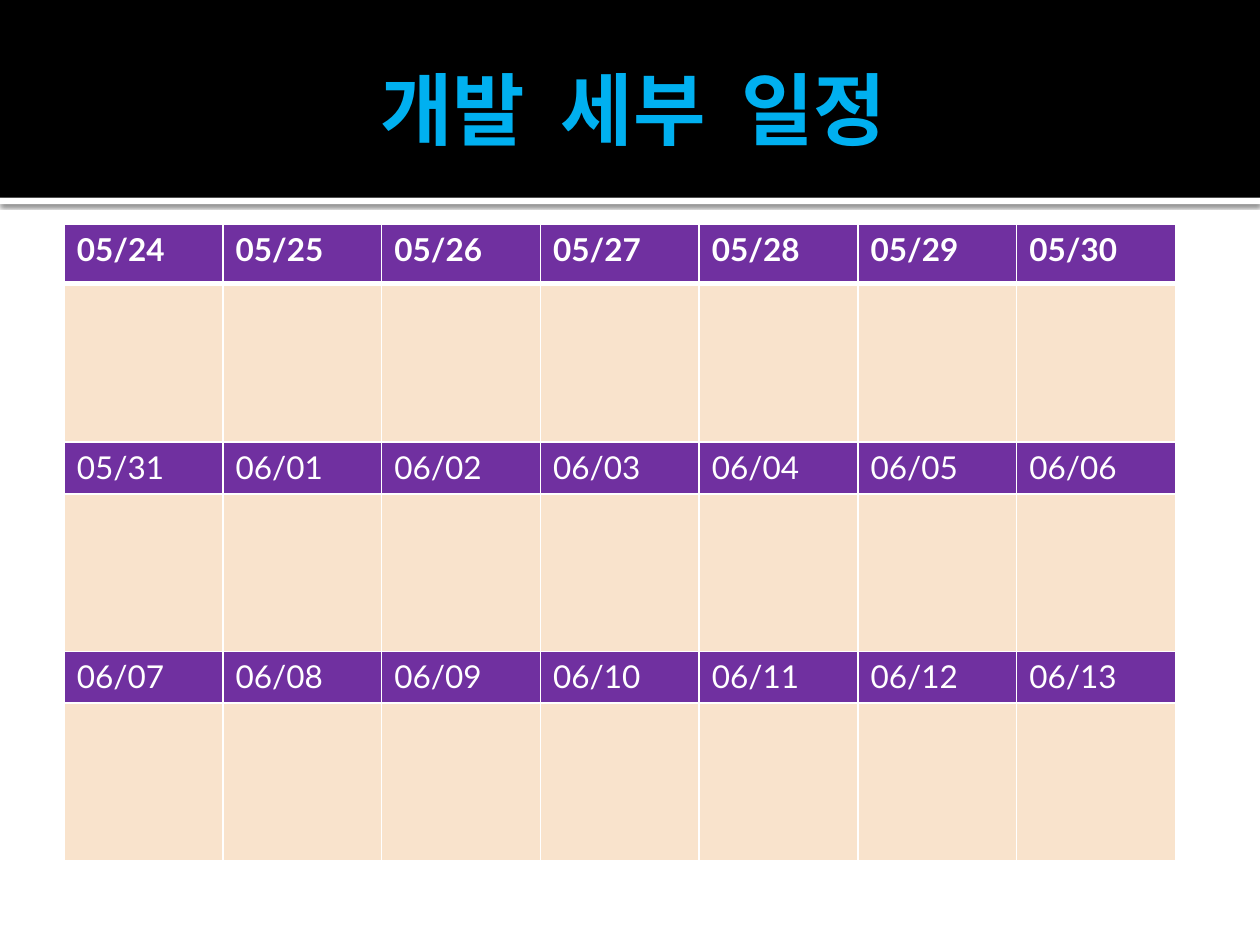
from lxml.etree import SubElement
from pptx import Presentation
from pptx.dml.color import RGBColor
from pptx.enum.shapes import MSO_SHAPE
from pptx.enum.text import MSO_ANCHOR, PP_ALIGN
from pptx.oxml import parse_xml
from pptx.oxml.ns import nsdecls, qn
from pptx.util import Inches, Pt

WHITE = RGBColor(0xFF, 0xFF, 0xFF)
BLACK = RGBColor(0x00, 0x00, 0x00)
SKY = RGBColor(0x00, 0xB0, 0xF0)
PURPLE = RGBColor(0x70, 0x30, 0xA0)
PEACH = RGBColor(0xF9, 0xE3, 0xCC)
FONT = "Lato"

DAYS = 7
ROW_HEIGHTS = [0.47, 1.26, 0.41, 1.25, 0.41, 1.25]
FIRST_DAY, MAY_LENGTH = 24, 31
BAND_HEIGHT = 1.57


def add_band(top, height, color):
    band = slide.shapes.add_shape(
        MSO_SHAPE.RECTANGLE, 0, Inches(top), deck.slide_width, Inches(height))
    band.shadow.inherit = False
    band.fill.solid()
    band.fill.fore_color.rgb = color
    band.line.fill.background()
    return band


def style_run(run, size, color, bold):
    run.font.name = FONT
    run.font.size = Pt(size)
    run.font.bold = bold
    run.font.color.rgb = color


deck = Presentation()
deck.slide_width, deck.slide_height = Inches(10), Inches(7.5)
slide = deck.slides.add_slide(deck.slide_layouts[5])
slide.background.fill.solid()
slide.background.fill.fore_color.rgb = WHITE

# Header band with a shadowed white rule below it
rule = add_band(BAND_HEIGHT, 0.05, WHITE)
effects = rule._element.spPr.find(qn("a:effectLst"))
shadow = SubElement(effects, qn("a:outerShdw"), blurRad=str(Pt(2.5)),
                    dist=str(Pt(0.8)), dir="5400000", algn="tl", rotWithShape="0")
shadow_color = SubElement(shadow, qn("a:srgbClr"), val=str(BLACK))
SubElement(shadow_color, qn("a:alpha"), val="60000")
add_band(0, BAND_HEIGHT, BLACK)

# Title, brought in front of the band
title = slide.shapes.title
slide.shapes._spTree.append(title._element)
title.left, title.top = Inches(0.5), Inches(0.17)
title.width, title.height = Inches(9), Inches(1.37)
heading = title.text_frame
heading.vertical_anchor = MSO_ANCHOR.MIDDLE
heading.margin_left = Inches(0.1)
heading.margin_right = heading.margin_top = heading.margin_bottom = Inches(0.05)
heading.paragraphs[0].alignment = PP_ALIGN.CENTER
heading_run = heading.paragraphs[0].add_run()
heading_run.text = "개발  세부  일정"
style_run(heading_run, 45, SKY, True)

# Calendar: date rows alternate with empty rows for entries
calendar = slide.shapes.add_table(
    len(ROW_HEIGHTS), DAYS, Inches(0.51), Inches(1.78),
    Inches(1.26 * DAYS), Inches(sum(ROW_HEIGHTS))).table
for column in calendar.columns:
    column.width = Inches(1.26)

for row, height in enumerate(ROW_HEIGHTS):
    calendar.rows[row].height = Inches(height)
    is_date_row = row % 2 == 0
    for weekday in range(DAYS):
        cell = calendar.cell(row, weekday)
        cell.fill.solid()
        cell.fill.fore_color.rgb = PURPLE if is_date_row else PEACH
        if is_date_row:
            day = FIRST_DAY + row // 2 * DAYS + weekday
            month = 5
            if day > MAY_LENGTH:
                month, day = 6, day - MAY_LENGTH
            date_run = cell.text_frame.paragraphs[0].add_run()
            date_run.text = f"{month:02}/{day:02}"
            style_run(date_run, 18, WHITE, row == 0)

        # The rule between the first date row and its entries is heavier
        widths = {"lnL": 1, "lnR": 1,
                  "lnT": 3 if row == 1 else 1, "lnB": 3 if row == 0 else 1}
        for position, (side, width) in enumerate(widths.items()):
            cell._tc.get_or_add_tcPr().insert(position, parse_xml(
                f'<a:{side} {nsdecls("a")} w="{Pt(width)}"><a:solidFill>'
                f'<a:srgbClr val="{WHITE}"/></a:solidFill></a:{side}>'))

deck.save("out.pptx")
